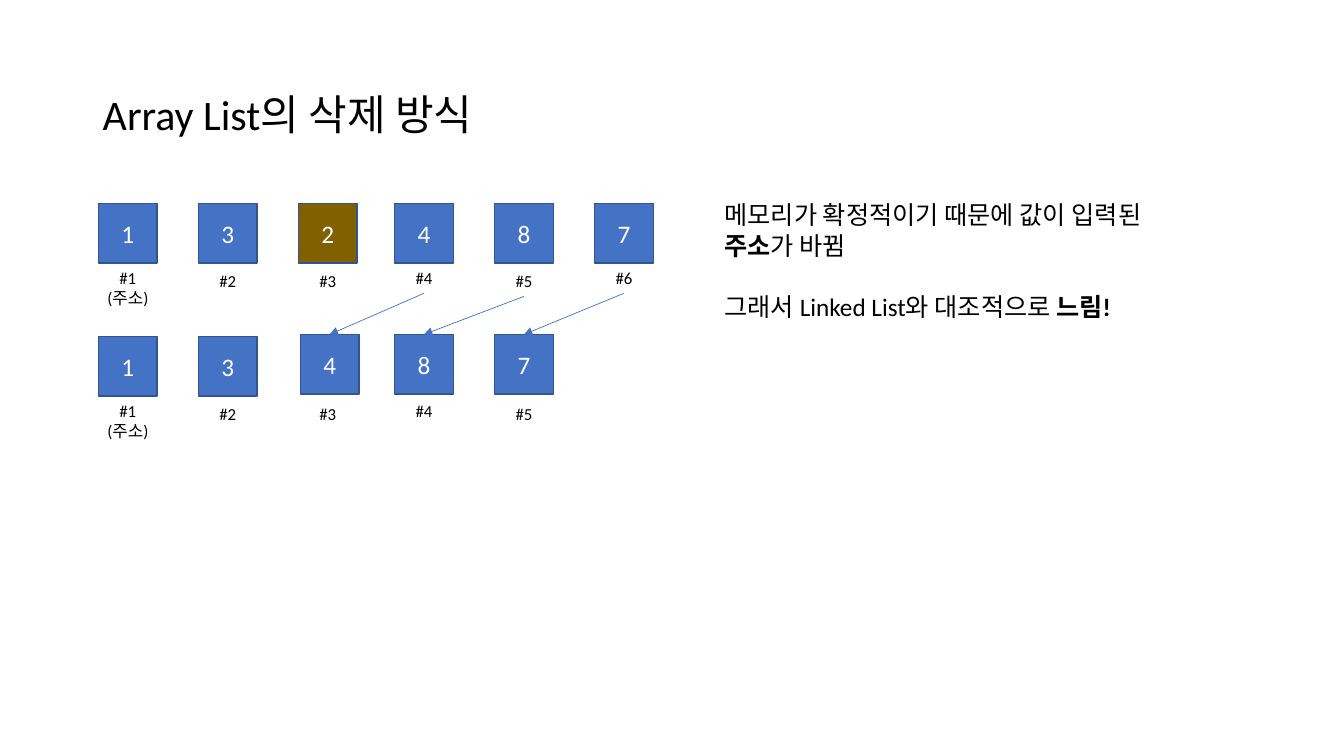
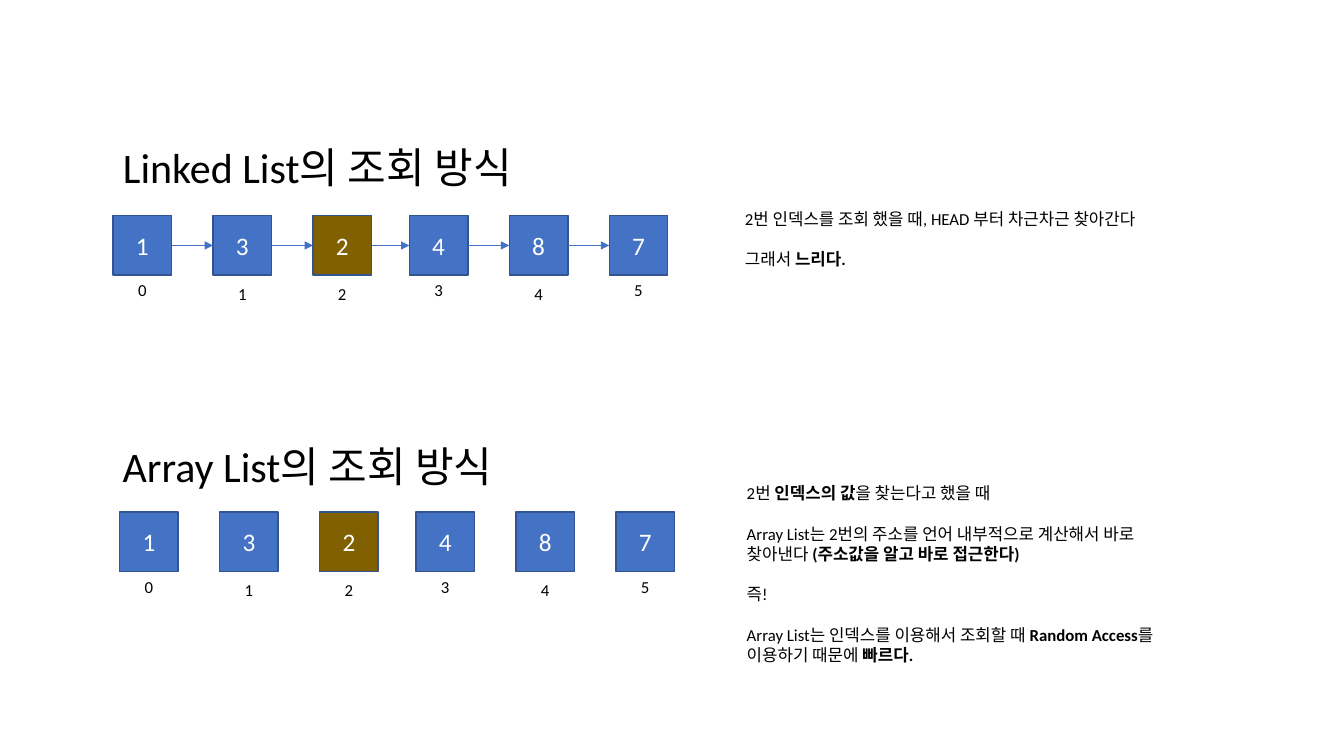
from dataclasses import dataclass

from lxml import etree
from pptx import Presentation
from pptx.dml.color import RGBColor
from pptx.enum.shapes import MSO_CONNECTOR, MSO_SHAPE
from pptx.enum.text import MSO_ANCHOR, MSO_AUTO_SIZE, PP_ALIGN
from pptx.oxml.ns import qn
from pptx.util import Pt

RECT, STRAIGHT = MSO_SHAPE.RECTANGLE, MSO_CONNECTOR.STRAIGHT
MIDDLE, TOP = MSO_ANCHOR.MIDDLE, MSO_ANCHOR.TOP
FIXED, GROW = MSO_AUTO_SIZE.NONE, MSO_AUTO_SIZE.SHAPE_TO_FIT_TEXT
LEFT, CENTER = PP_ALIGN.LEFT, PP_ALIGN.CENTER
SIDE_TOP, SIDE_LEFT, SIDE_BOTTOM, SIDE_RIGHT = range(4)


@dataclass(frozen=True)
class Theme:
    font: str = "Calibri"
    ink: RGBColor = RGBColor(0x00, 0x00, 0x00)
    paper: RGBColor = RGBColor(0xFF, 0xFF, 0xFF)
    cell: RGBColor = RGBColor(0x44, 0x72, 0xC4)
    target: RGBColor = RGBColor(0x80, 0x60, 0x00)
    border: RGBColor = RGBColor(0x32, 0x54, 0x91)
    title_size: int = 30
    value_size: int = 18
    label_size: int = 12
    blank_line: float = 1.22


THEME = Theme()
SLIDE_SIZE = (960, 540)
TITLE_SIZE = (828, 104.4)
NOTE_WIDTH = 327.6
CELL_WIDTH, CELL_HEIGHT = 41.8, 42.5
LABEL_WIDTH, LABEL_HEIGHT = 50.4, 21.6
COLUMNS = (0, 71.4, 142.8, 211.6, 283, 354.4)
LABEL_DROPS = (0, 2.2, 2.2, 0, 2.2, 0)

VALUES = "132487"
INDEXES = "012345"
ADDRESSES = ("#1 (주소)", "#2", "#3", "#4", "#5", "#6")
MOVED = {2: (1.4, -1.4), 3: (0, -1.4), 4: (0, -1.4)}

SLIDES = [
    {
        "titles": [("Array List의 삭제 방식", 66.2, 31)],
        "rows": [
            {"at": (70.4, 145.4), "values": VALUES, "labels": ADDRESSES, "target": 2},
            {"at": (70.4, 240.3), "values": "13487", "labels": ADDRESSES,
             "nudges": MOVED, "shift_from": 3},
        ],
        "notes": [
            {"box": (510.5, 139, 94.3), "size": 18, "paragraphs": [
                ("메모리가 확정적이기 때문에 값이 입력된 ", "주소", "가 바뀜"),
                ("그래서 Linked List와 대조적으로 ", "느림!"),
            ]},
        ],
    },
    {
        "titles": [("Linked List의 조회 방식", 80.6, 69.1),
                   ("Array List의 조회 방식", 80.6, 283)],
        "rows": [
            {"at": (80.8, 154.1), "values": VALUES, "labels": INDEXES,
             "target": 2, "linked": True},
            {"at": (85.5, 365.7), "values": VALUES, "labels": INDEXES, "target": 2},
        ],
        "notes": [
            {"box": (525, 145.4, 51.1), "size": 12, "paragraphs": [
                ("2번 인덱스를 조회 했을 때, HEAD 부터 차근차근 찾아간다",),
                ("그래서 ", "느리다."),
            ]},
            {"box": (526.3, 341.3, 138.2), "size": 12, "paragraphs": [
                ("2번 ", "인덱스의 값", "을 찾는다고 했을 때"),
                ("Array List는 2번의 주소를 언어 내부적으로 계산해서 바로 찾아낸다 ",
                 "(주소값을 알고 바로 접근한다)"),
                ("즉!",),
                ("Array List는 인덱스를 이용해서 조회할 때 ", "Random Access",
                 "를 이용하기 때문에 ", "빠르다."),
            ]},
        ],
    },
]


def apply(target, values):
    for name, value in values.items():
        setattr(target, name, value)


def place(shape, *box):
    apply(shape, dict(zip(("left", "top", "width", "height"), map(Pt, box))))


def write(shape, paragraphs, size, frame, paragraph_format, color=THEME.ink):
    apply(shape.text_frame, {"word_wrap": True, **frame})
    for number, pieces in enumerate(paragraphs):
        if number:
            paragraph = shape.text_frame.add_paragraph()
            paragraph.space_before = Pt(size * THEME.blank_line)
        else:
            paragraph = shape.text_frame.paragraphs[0]
        apply(paragraph, paragraph_format)
        for position, text in enumerate(pieces):
            run = paragraph.add_run()
            run.text = text
            apply(run.font, {"name": THEME.font, "size": Pt(size),
                             "bold": position % 2 == 1})
            run.font.color.rgb = color


def add_text(slide, box, paragraphs, size, alignment):
    text_box = slide.shapes.add_textbox(*map(Pt, box))
    write(text_box, paragraphs, size,
          {"vertical_anchor": TOP, "auto_size": GROW}, {"alignment": alignment})
    return text_box


def add_titles(slide, titles):
    for number, (text, left, top) in enumerate(titles):
        title = slide.shapes.add_textbox(0, 0, 0, 0) if number else slide.shapes.title
        place(title, left, top, *TITLE_SIZE)
        write(title, [(text,)], THEME.title_size,
              {"vertical_anchor": MIDDLE, "auto_size": FIXED},
              {"alignment": LEFT, "line_spacing": 0.9})


def add_cell(slide, left, top, value, fill):
    cell = slide.shapes.add_shape(RECT, *map(Pt, (left, top, CELL_WIDTH, CELL_HEIGHT)))
    cell.shadow.inherit = False
    cell.fill.solid()
    cell.fill.fore_color.rgb = fill
    cell.line.color.rgb = THEME.border
    cell.line.width = Pt(1)
    write(cell, [(value,)], THEME.value_size, {"vertical_anchor": MIDDLE},
          {"alignment": CENTER}, THEME.paper)
    return cell


def add_row(slide, row):
    left, top = row["at"]
    cells, labels = [], []
    for column, (value, label) in enumerate(zip(row["values"], row["labels"])):
        x = left + COLUMNS[column]
        dx, dy = row.get("nudges", {}).get(column, (0, 0))
        fill = THEME.target if column == row.get("target") else THEME.cell
        cells.append(add_cell(slide, x + dx, top + dy, value, fill))
        label_box = (x - (LABEL_WIDTH - CELL_WIDTH) / 2,
                     top + CELL_HEIGHT + LABEL_DROPS[column], LABEL_WIDTH, LABEL_HEIGHT)
        labels.append(add_text(slide, label_box, [(label,)], THEME.label_size, CENTER))
    return cells, labels


def add_arrow(slide, start, start_side, end, end_side):
    arrow = slide.shapes.add_connector(STRAIGHT, 0, 0, 0, 0)
    arrow.begin_connect(start, start_side)
    arrow.end_connect(end, end_side)
    arrow.line.color.rgb = THEME.cell
    arrow.line.width = Pt(0.5)
    properties = arrow._element.spPr
    etree.SubElement(properties.get_or_add_ln(), qn("a:tailEnd"), type="triangle")
    etree.SubElement(properties, qn("a:effectLst"))


def add_rows(slide, rows):
    labels_above = []
    for row in rows:
        cells, labels = add_row(slide, row)
        if row.get("linked"):
            for cell, following in zip(cells, cells[1:]):
                add_arrow(slide, cell, SIDE_RIGHT, following, SIDE_LEFT)
        if "shift_from" in row:
            first = row["shift_from"]
            for label, cell in zip(labels_above[first:], cells[first - 1:]):
                add_arrow(slide, label, SIDE_BOTTOM, cell, SIDE_TOP)
        labels_above = labels


def main():
    deck = Presentation()
    deck.slide_width, deck.slide_height = map(Pt, SLIDE_SIZE)
    title_only = deck.slide_layouts[5]
    for content in SLIDES:
        slide = deck.slides.add_slide(title_only)
        add_titles(slide, content["titles"])
        add_rows(slide, content["rows"])
        for note in content["notes"]:
            left, top, height = note["box"]
            add_text(slide, (left, top, NOTE_WIDTH, height),
                     note["paragraphs"], note["size"], LEFT)
    deck.save("out.pptx")


if __name__ == "__main__":
    main()
